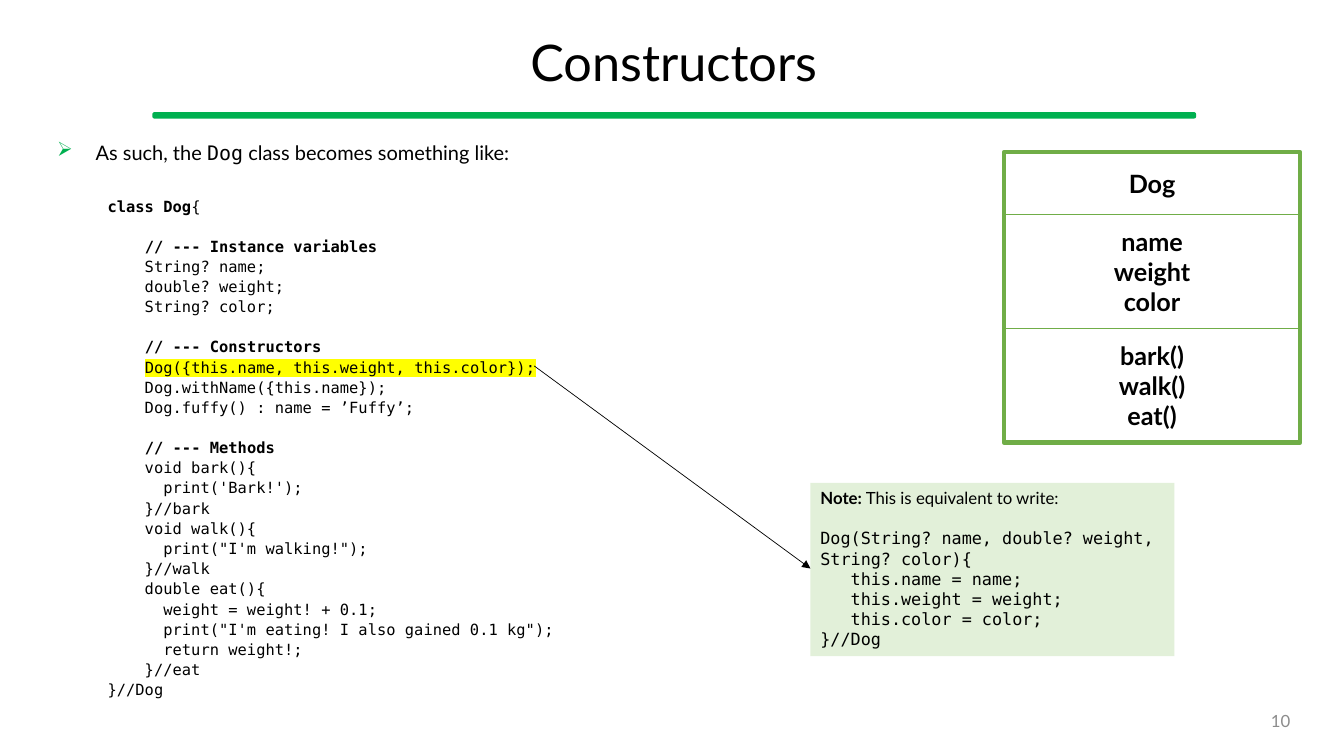
from dataclasses import dataclass
from typing import Optional

from lxml.etree import SubElement
from pptx import Presentation
from pptx.dml.color import RGBColor
from pptx.enum.shapes import MSO_CONNECTOR, MSO_SHAPE
from pptx.enum.text import MSO_ANCHOR, PP_ALIGN
from pptx.oxml.ns import qn
from pptx.util import Pt

COLORS = {
    "text": "000000", "accent": "00B050", "class": "70AD47", "paper": "FFFFFF",
    "note": "E2F0D9", "highlight": "FFFF00", "number": "8C8C8C",
}
SANS = "Lato"
MONO = "DejaVu Sans Mono"


@dataclass
class Area:
    left: float
    top: float
    width: float
    height: float


@dataclass
class Span:
    text: str
    bold: Optional[bool] = None
    face: Optional[str] = None
    marked: bool = False


@dataclass
class Line:
    spans: list[Span]
    size: float
    face: Optional[str] = SANS
    color: str = "text"
    bold: Optional[bool] = None
    align: PP_ALIGN = PP_ALIGN.LEFT
    spacing: Optional[float] = None
    before: float = 0
    margin: float = 0
    bullet: str = ""


@dataclass
class Compartment:
    members: list[str]
    top: float
    height: float


def rgb(name: str) -> RGBColor:
    return RGBColor.from_string(COLORS[name])


def write_line(paragraph, line: Line) -> None:
    paragraph.alignment = line.align
    if line.spacing:
        paragraph.line_spacing = line.spacing
    if line.before:
        paragraph.space_before = Pt(line.before)
    properties = paragraph._p.get_or_add_pPr()
    if line.margin:
        properties.set("marL", str(Pt(line.margin)))
    if line.bullet:
        properties.set("indent", str(-Pt(line.margin)))
        tint = SubElement(properties, qn("a:buClr"))
        SubElement(tint, qn("a:srgbClr"), val=COLORS["accent"])
        SubElement(properties, qn("a:buChar"), char=line.bullet)
    font = paragraph.font
    font.size = Pt(line.size)
    font.color.rgb = rgb(line.color)
    if line.face:
        font.name = line.face
    if line.bold is not None:
        font.bold = line.bold
    for span in line.spans:
        run = paragraph.add_run()
        run.text = span.text
        if span.marked:
            marker = SubElement(run._r.get_or_add_rPr(), qn("a:highlight"))
            SubElement(marker, qn("a:srgbClr"), val=COLORS["highlight"])
        if span.bold is not None:
            run.font.bold = span.bold
        if span.face:
            run.font.name = span.face


def write(shape, lines: list[Line], anchor: MSO_ANCHOR = MSO_ANCHOR.TOP) -> None:
    frame = shape.text_frame
    frame.word_wrap = True
    frame.vertical_anchor = anchor
    for index, line in enumerate(lines):
        write_line(frame.add_paragraph() if index else frame.paragraphs[0], line)


def add_text(slide, area: Area, lines: list[Line], anchor: MSO_ANCHOR = MSO_ANCHOR.TOP) -> None:
    box = slide.shapes.add_textbox(Pt(area.left), Pt(area.top), Pt(area.width), Pt(area.height))
    write(box, lines, anchor)


def add_box(slide, area: Area, fill: str = "", border: str = "", weight: float = 1,
            kind: MSO_SHAPE = MSO_SHAPE.RECTANGLE):
    box = slide.shapes.add_shape(kind, Pt(area.left), Pt(area.top), Pt(area.width), Pt(area.height))
    box.shadow.inherit = False
    if fill:
        box.fill.solid()
        box.fill.fore_color.rgb = rgb(fill)
    else:
        box.fill.background()
    if border:
        box.line.color.rgb = rgb(border)
        box.line.width = Pt(weight)
    else:
        box.line.fill.background()
    return box


def add_arrow(slide, start: tuple[float, float], end: tuple[float, float]) -> None:
    arrow = slide.shapes.add_connector(
        MSO_CONNECTOR.STRAIGHT, Pt(start[0]), Pt(start[1]), Pt(end[0]), Pt(end[1]))
    arrow.line.color.rgb = rgb("text")
    arrow.line.width = Pt(0.5)
    SubElement(arrow.line._get_or_add_ln(), qn("a:tailEnd"), type="triangle")
    SubElement(arrow._element.spPr, qn("a:effectLst"))


def code_line(code: str) -> Line:
    body = code.lstrip()
    indent = code[:len(code) - len(body)]
    heading = body.startswith("// ---")
    before = 19.4 if heading else 5.2
    if heading:
        spans = [Span(indent), Span(body, bold=True)]
    elif body.startswith("class"):
        spans = [Span(body[:-1], bold=True), Span(body[-1])]
        before = 27
    elif body.startswith("Dog({"):
        spans = [Span(indent), Span(body, marked=True)]
    else:
        spans = [Span(code)]
    return Line(spans, 11, MONO, spacing=0.7, before=before, margin=36)


DOG_CODE = """class Dog{
    // --- Instance variables
    String? name;
    double? weight;
    String? color;
    // --- Constructors
    Dog({this.name, this.weight, this.color});
    Dog.withName({this.name});
    Dog.fuffy() : name = ’Fuffy’;
    // --- Methods
    void bark(){
      print('Bark!');
    }//bark
    void walk(){
      print("I'm walking!");
    }//walk
    double eat(){
      weight = weight! + 0.1;
      print("I'm eating! I also gained 0.1 kg");
      return weight!;
    }//eat
}//Dog"""

NOTE_CODE = """Dog(String? name, double? weight, String? color){
   this.name = name;
   this.weight = weight;
   this.color = color;
}//Dog"""

DOG_CLASS = [
    Compartment(["Dog"], 108.7, 44.6),
    Compartment(["name", "weight", "color"], 153.3, 81.4),
    Compartment(["bark()", "walk()", "eat()"], 234.7, 81.4),
]


def main() -> None:
    deck = Presentation()
    deck.slide_width, deck.slide_height = Pt(960), Pt(540)
    slide = deck.slides.add_slide(deck.slide_layouts[6])

    rule = add_box(slide, Area(109.4, 80.6, 744.5, 3.6), "accent", "accent",
                   kind=MSO_SHAPE.ROUNDED_RECTANGLE)
    rule.adjustments[0] = 0.26
    add_text(slide, Area(33.8, 13, 895, 67.7),
             [Line([Span("Constructors")], 36, align=PP_ALIGN.CENTER, spacing=0.9)],
             MSO_ANCHOR.MIDDLE)

    intro = Line([Span("As such, the ", face=SANS), Span("Dog", face=MONO),
                  Span(" class becomes something like:", face=SANS)],
                 14.3, None, spacing=0.7, margin=27.4, bullet="➢")
    add_text(slide, Area(33.8, 101.5, 694, 423.4),
             [intro] + [code_line(code) for code in DOG_CODE.splitlines()])

    for part in DOG_CLASS:
        box = add_box(slide, Area(717.1, part.top, 211.7, part.height), "paper", "class")
        write(box, [Line([Span(member)], 18, bold=True, align=PP_ALIGN.CENTER)
                    for member in part.members], MSO_ANCHOR.MIDDLE)
    add_box(slide, Area(717.1, 108.7, 211.7, 207.4), border="class", weight=3)

    add_text(slide, Area(678.2, 500.4, 250.6, 28.8),
             [Line([Span("10")], 12, color="number", align=PP_ALIGN.RIGHT)], MSO_ANCHOR.MIDDLE)

    note = add_box(slide, Area(578.9, 344.9, 259.9, 123.8), "note")
    write(note, [Line([Span("Note:", bold=True), Span(" This is equivalent to write:")], 12)]
          + [Line([Span(code)], 12, MONO, before=0 if index else 14.4)
             for index, code in enumerate(NOTE_CODE.splitlines())])
    add_arrow(slide, (381.6, 261.4), (578.9, 406.1))

    deck.save("out.pptx")


if __name__ == "__main__":
    main()
